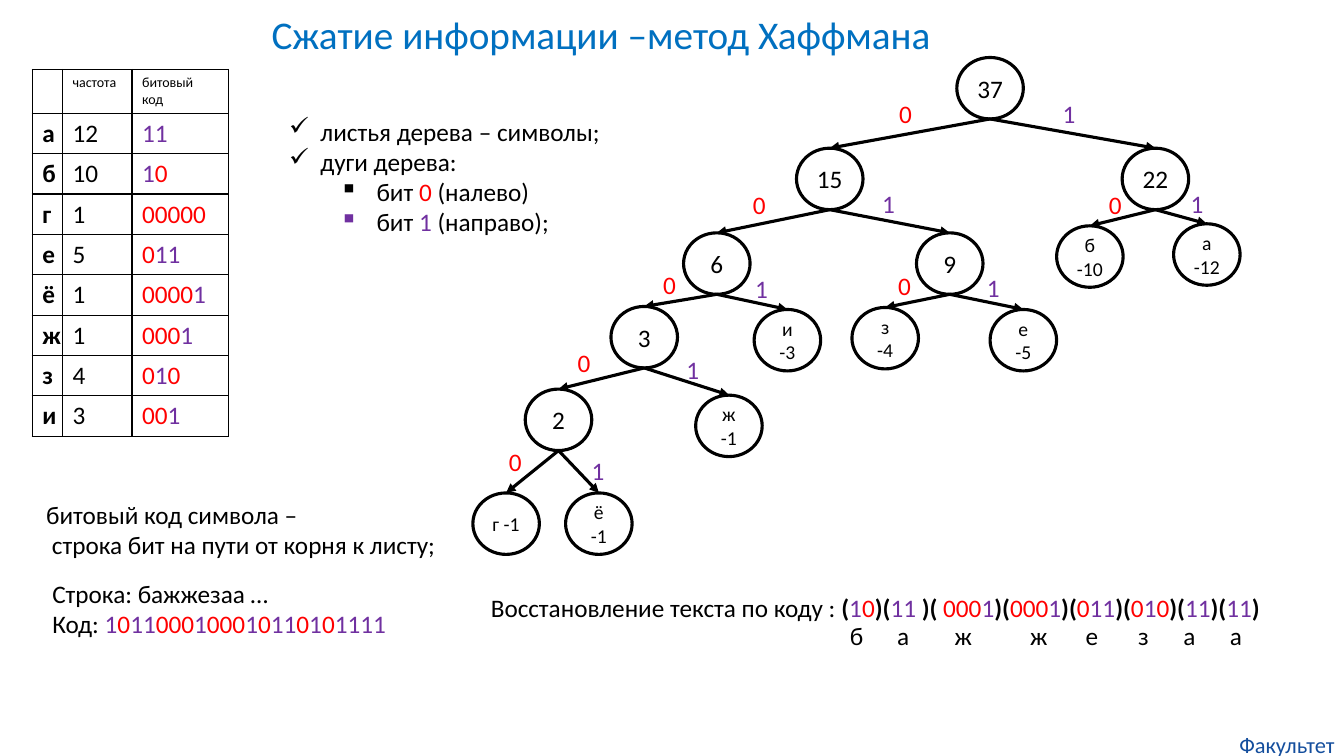
from itertools import groupby

from lxml import etree
from pptx import Presentation
from pptx.dml.color import RGBColor
from pptx.enum.shapes import MSO_CONNECTOR, MSO_SHAPE
from pptx.enum.text import MSO_ANCHOR, MSO_AUTO_SIZE, PP_ALIGN
from pptx.oxml.ns import qn
from pptx.util import Inches, Pt

OVAL, STRAIGHT = MSO_SHAPE.OVAL, MSO_CONNECTOR.STRAIGHT
CENTER, LEFT = PP_ALIGN.CENTER, PP_ALIGN.LEFT
TOP, MIDDLE = MSO_ANCHOR.TOP, MSO_ANCHOR.MIDDLE
GROW = MSO_AUTO_SIZE.SHAPE_TO_FIT_TEXT
BLACK = RGBColor(0x00, 0x00, 0x00)
RED = RGBColor(0xFF, 0x00, 0x00)
PURPLE = RGBColor(0x70, 0x30, 0xA0)
TITLE_BLUE = RGBColor(0x00, 0x70, 0xC0)
FOOTER_BLUE = RGBColor(0x14, 0x4E, 0x9D)
BIT_COLORS = {"0": RED, "1": PURPLE}
FONT = "Calibri"
NODE_W, NODE_H = 0.66, 0.61

FREQUENCIES = [
    ("а", "12", "11"), ("б", "10", "10"), ("г", "1", "00000"),
    ("е", "5", "011"), ("ё", "1", "00001"), ("ж", "1", "0001"),
    ("з", "4", "010"), ("и", "3", "001"),
]
NODES = {
    "37": (9.49, 0.57), "15": (7.9, 1.47), "22": (11.13, 1.47),
    "6": (6.78, 2.31), "9": (9.09, 2.31), "3": (6.06, 3.04), "2": (5.21, 3.86),
    "б -10": (10.48, 2.24), "a -12": (11.64, 2.22), "и -3": (7.48, 3.07),
    "з -4": (8.45, 3.05), "е -5": (9.82, 3.07), "ж -1": (6.9, 3.92),
    "г -1": (4.69, 4.89), "ё -1": (5.61, 4.89),
}
BRANCHES = [
    ("37", "15", "0", 8.82, 0.93), ("37", "22", "1", 10.44, 0.93),
    ("15", "6", "0", 7.37, 1.83), ("15", "9", "1", 8.65, 1.82),
    ("22", "б -10", "0", 10.9, 1.83), ("22", "a -12", "1", 11.71, 1.82),
    ("6", "3", "0", 6.48, 2.62), ("6", "и -3", "1", 7.39, 2.66),
    ("9", "з -4", "0", 8.81, 2.63), ("9", "е -5", "1", 9.69, 2.65),
    ("3", "2", "0", 5.63, 3.4), ("3", "ж -1", "1", 6.71, 3.47),
    ("2", "г -1", "0", 4.95, 4.38), ("2", "ё -1", "1", 5.77, 4.47),
]
RULES = [
    ("листья дерева – символы;", "✓", 0, BLACK),
    ("дуги дерева:", "✓", 0, BLACK),
    (" бит 0 (налево)", "▪", 1, BLACK),
    (" бит 1 (направо);", "▪", 1, PURPLE),
]
DECODED = "б\ta\tж\tж\tе\tз\ta\ta"
DECODED_TABS = (0.47, 1.04, 1.79, 2.34, 2.86, 3.31, 3.77)


def style(paragraph, size=18, color=BLACK, bold=False, align=LEFT):
    """Format every run of a paragraph alike."""
    paragraph.alignment = align
    for run in paragraph.runs:
        run.font.name, run.font.size = FONT, Pt(size)
        run.font.bold, run.font.color.rgb = bold, color


def write_bits(paragraph, text, bold_marks=""):
    """Write text with zeros in red and ones in purple."""
    def look(char):
        return BIT_COLORS.get(char, BLACK), char in bold_marks

    for (color, bold), chars in groupby(text, look):
        run = paragraph.add_run()
        run.text = "".join(chars)
        run.font.name, run.font.size = FONT, Pt(18)
        run.font.bold, run.font.color.rgb = bold, color


def add_box(slide, left, top, width, height, wrap=False):
    """Add an empty text box and return its frame."""
    box = slide.shapes.add_textbox(Inches(left), Inches(top), Inches(width), Inches(height))
    frame = box.text_frame
    frame.word_wrap = wrap
    frame.auto_size = GROW
    return frame


def add_bit_lines(slide, place, lines, wrap=False, bold_marks=""):
    """Add a text box whose bits are coloured."""
    frame = add_box(slide, *place, wrap=wrap)
    for index, line in enumerate(lines):
        paragraph = frame.add_paragraph() if index else frame.paragraphs[0]
        write_bits(paragraph, line, bold_marks)
    return frame


def add_title(slide):
    """Place the slide title."""
    title = slide.shapes.title
    title.left, title.top = Inches(2.57), Inches(0.05)
    title.width, title.height = Inches(6.78), Inches(0.57)
    frame = title.text_frame
    frame.text = "Сжатие информации –метод Хаффмана"
    frame.vertical_anchor = TOP
    style(frame.paragraphs[0], 28, TITLE_BLUE, align=CENTER)


def add_borders(cell):
    """Draw a thin black border round a cell and clear its fill."""
    properties = cell._tc.get_or_add_tcPr()
    for side in ("a:lnL", "a:lnR", "a:lnT", "a:lnB"):
        line = etree.SubElement(properties, qn(side), w=str(Pt(1)))
        fill = etree.SubElement(line, qn("a:solidFill"))
        etree.SubElement(fill, qn("a:srgbClr"), val=str(BLACK))
    cell.fill.background()


def add_frequency_table(slide):
    """Add the table of symbols, frequencies and codes."""
    rows = len(FREQUENCIES) + 1
    table = slide.shapes.add_table(
        rows, 3, Inches(0.32), Inches(0.69), Inches(1.95), Inches(3.65)).table
    for column, width in zip(table.columns, (0.3, 0.69, 0.96)):
        column.width = Inches(width)
    for index, row in enumerate(table.rows):
        row.height = Inches(0.4 if index else 0.43)
    for column, heading in ((1, "частота"), (2, "битовый\nкод")):
        frame = table.cell(0, column).text_frame
        frame.text = heading
        for paragraph in frame.paragraphs:
            style(paragraph, 10)
    for index, (symbol, frequency, code) in enumerate(FREQUENCIES, 1):
        for column, value in enumerate((symbol, frequency)):
            paragraph = table.cell(index, column).text_frame.paragraphs[0]
            paragraph.text = value
            style(paragraph, bold=column == 0)
        write_bits(table.cell(index, 2).text_frame.paragraphs[0], code)
    for cell in table.iter_cells():
        add_borders(cell)


def add_node(slide, label, left, top):
    """Add one tree node; leaves have smaller text."""
    node = slide.shapes.add_shape(
        OVAL, Inches(left), Inches(top), Inches(NODE_W), Inches(NODE_H))
    node.shadow.inherit = False
    node.fill.background()
    node.line.color.rgb, node.line.width = BLACK, Pt(2.25)
    frame = node.text_frame
    frame.text = label
    frame.word_wrap = True
    frame.vertical_anchor = MIDDLE
    style(frame.paragraphs[0], 14 if " " in label else 18, align=CENTER)
    return node


def add_branch(slide, parent, child):
    """Add an arrow from the bottom of a parent to the top of a child."""
    arrow = slide.shapes.add_connector(
        STRAIGHT, parent.left + parent.width // 2, parent.top + parent.height,
        child.left + child.width // 2, child.top)
    arrow.end_connect(child, 0)
    arrow.line.color.rgb, arrow.line.width = BLACK, Pt(2.25)
    etree.SubElement(arrow.line._get_or_add_ln(), qn("a:tailEnd"), type="triangle")
    etree.SubElement(arrow._element.spPr, qn("a:effectLst"))


def add_tree(slide):
    """Add the code tree with its bit labels."""
    nodes = {label: add_node(slide, label, *place) for label, place in NODES.items()}
    for parent, child, bit, left, top in BRANCHES:
        add_branch(slide, nodes[parent], nodes[child])
        add_bit_lines(slide, (left, top, 0.33, 0.4), [bit])


def add_rules(slide):
    """Add the bulleted rules of the tree."""
    lines = [rule[0] for rule in RULES]
    frame = add_bit_lines(slide, (2.77, 1.1, 3.51, 1.31), lines, wrap=True)
    for paragraph, (_, mark, level, color) in zip(frame.paragraphs, RULES):
        paragraph.level = level
        properties = paragraph._p.get_or_add_pPr()
        properties.set("marL", str(Inches(0.31 + 0.5 * level)))
        properties.set("indent", str(Inches(-0.31)))
        bullet_color = etree.SubElement(properties, qn("a:buClr"))
        etree.SubElement(bullet_color, qn("a:srgbClr"), val=str(color))
        etree.SubElement(properties, qn("a:buChar"), char=mark)


def add_decoded_letters(slide):
    """Add the decoded letters on tab stops below their codes."""
    paragraph = add_box(slide, 8.33, 6.1, 4.23, 0.4).paragraphs[0]
    paragraph.text = DECODED
    style(paragraph)
    tabs = etree.SubElement(paragraph._p.get_or_add_pPr(), qn("a:tabLst"))
    for stop in DECODED_TABS:
        etree.SubElement(tabs, qn("a:tab"), pos=str(Inches(stop)), algn="l")


def add_footer(slide):
    """Add the department label in the corner."""
    frame = add_box(slide, 12.2, 7.25, 1.13, 0.27)
    frame.margin_left = frame.margin_right = frame.margin_top = frame.margin_bottom = 0
    frame.text = "Факультет"
    style(frame.paragraphs[0], 16, FOOTER_BLUE, align=CENTER)


def main():
    """Build the slide and save it."""
    deck = Presentation()
    deck.slide_width, deck.slide_height = Inches(13.33), Inches(7.5)
    slide = deck.slides.add_slide(deck.slide_layouts[5])
    add_footer(slide)
    add_frequency_table(slide)
    add_title(slide)
    add_tree(slide)
    add_bit_lines(slide, (0.42, 5.69, 3.71, 0.71),
                  ["Строка: бажжезaa …", "Код: 1011000100010110101111"], wrap=True)
    add_bit_lines(slide, (0.36, 4.9, 4.11, 0.71),
                  ["битовый код символа –", " строка бит на пути от корня к листу;"])
    add_bit_lines(slide, (4.77, 5.83, 7.91, 0.4),
                  ["Восстановление текста по коду : "
                   "(10)(11 )( 0001)(0001)(011)(010)(11)(11)"], bold_marks="()")
    add_decoded_letters(slide)
    add_rules(slide)
    deck.save("out.pptx")


if __name__ == "__main__":
    main()
